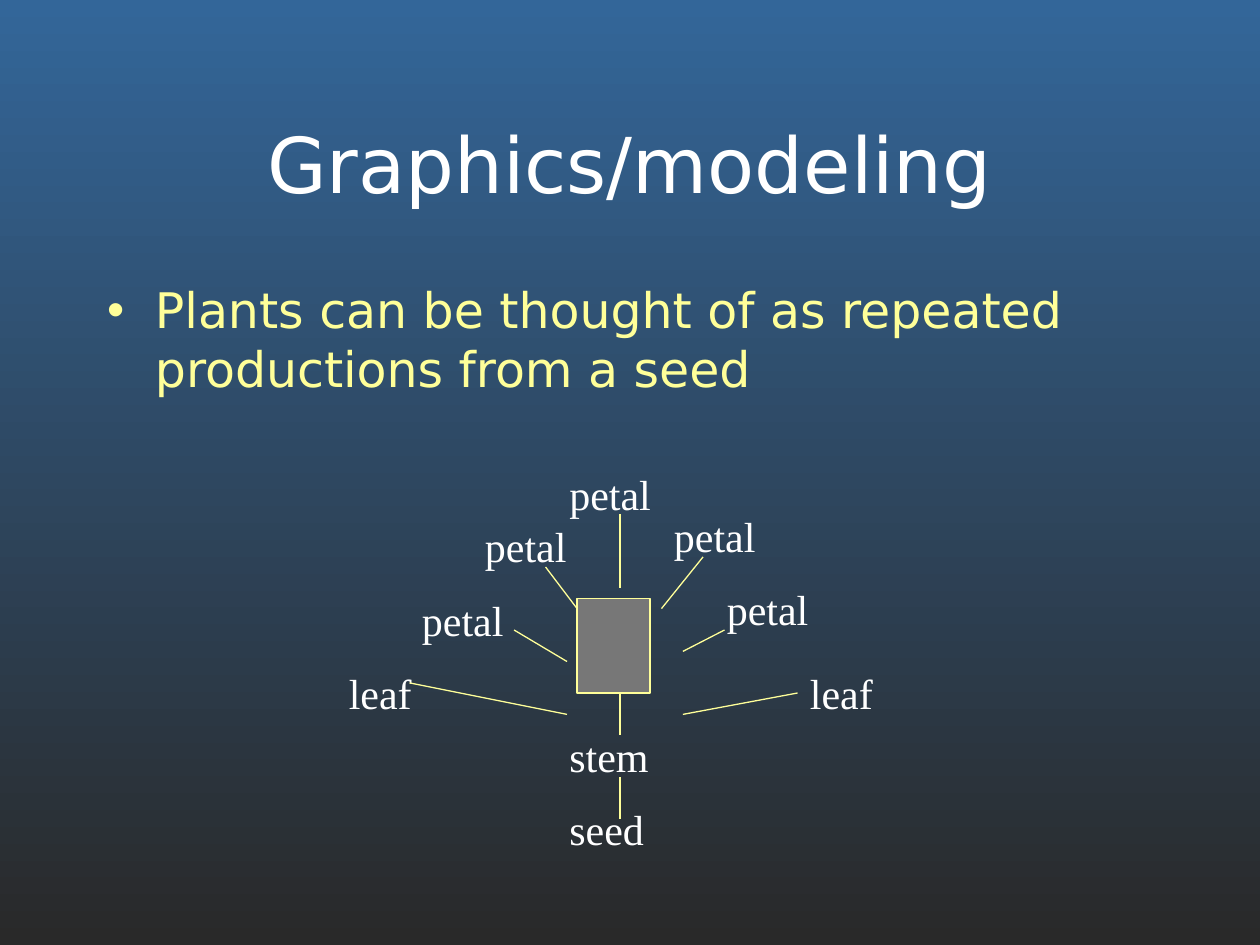
import pptx
import pptx.util
import pptx.dml.color
import pptx.enum.shapes
import pptx.enum.text
import pptx.oxml.ns
from lxml import etree
from pptx.util import Inches

TITLE = "Graphics/modeling"
BODY = "Plants can be thought of as repeated productions from a seed"
WHITE, YELLOW, GREY = "FFFFFF", "FFFF99", "777777"
GRADIENT = ("336699", "292929")

LABEL_SIZE = (1.25, 0.5)
LABELS = [  # text, left, top
    ("petal", 4.42, 3.67),
    ("petal", 3.75, 4.08),
    ("petal", 3.25, 4.67),
    ("petal", 5.25, 4),
    ("petal", 5.67, 4.58),
    ("leaf", 2.67, 5.25),
    ("leaf", 6.33, 5.25),
    ("stem", 4.42, 5.75),
    ("seed", 4.42, 6.33),
]
BRANCHES = [  # x1, y1, x2, y2
    (4.92, 4.08, 4.92, 4.67),
    (4.33, 4.5, 4.58, 4.83),
    (4.08, 5, 4.5, 5.25),
    (5.58, 4.42, 5.25, 4.83),
    (5.75, 5, 5.42, 5.17),
    (3.25, 5.42, 4.5, 5.67),
    (6.33, 5.5, 5.42, 5.67),
    (4.92, 5.83, 4.92, 5.5),
    (4.92, 6.5, 4.92, 6.17),
]
FLOWER = (4.58, 4.75, 0.58, 0.75)


def color(value):
    return pptx.dml.color.RGBColor.from_string(value)


def box(*lengths):
    return [Inches(v) for v in lengths]


def write(sp, text, font, size, fill):
    tf = sp.text_frame
    tf.text = text
    tf.word_wrap = True
    tf.auto_size = pptx.enum.text.MSO_AUTO_SIZE.NONE
    p = tf.paragraphs[0]
    f = p.runs[0].font
    f.name, f.size = font, pptx.util.Pt(size)
    f.color.rgb = color(fill)
    return p


def outline(sp):
    sp.line.color.rgb = color(YELLOW)
    sp.line.width = pptx.util.Pt(0.75)


def place(sp, *lengths):
    sp.left, sp.top, sp.width, sp.height = box(*lengths)


def add_bullet(p):
    pPr = p._p.get_or_add_pPr()
    pPr.set("marL", str(Inches(0.38)))
    pPr.set("indent", str(-Inches(0.38)))
    qn = pptx.oxml.ns.qn
    clr = etree.SubElement(pPr, qn("a:buClr"))
    etree.SubElement(clr, qn("a:srgbClr"), val=YELLOW)
    etree.SubElement(pPr, qn("a:buChar"), char="•")


prs = pptx.Presentation()
prs.slide_width, prs.slide_height = box(10, 7.5)
s = prs.slides.add_slide(prs.slide_layouts[1])

fill = s.background.fill
fill.gradient()
fill.gradient_angle = 270
for stop, value in zip(fill.gradient_stops, GRADIENT):
    stop.color.rgb = color(value)

title, body = s.placeholders
place(title, 0.75, 0.67, 8.5, 1.25)
p = write(title, TITLE, "DejaVu Sans", 44, WHITE)
p.alignment = pptx.enum.text.PP_ALIGN.CENTER
title.text_frame.vertical_anchor = pptx.enum.text.MSO_ANCHOR.MIDDLE
place(body, 0.75, 2.17, 8.5, 4.5)
p = write(body, BODY, "DejaVu Sans", 28, YELLOW)
p.space_before = pptx.util.Pt(0)
add_bullet(p)

for text, left, top in LABELS:
    sp = s.shapes.add_textbox(*box(left, top, *LABEL_SIZE))
    write(sp, text, "Times New Roman", 24, WHITE)

for ends in BRANCHES:
    line = s.shapes.add_connector(pptx.enum.shapes.MSO_CONNECTOR.STRAIGHT, *box(*ends))
    outline(line)
    etree.SubElement(line._element.spPr, pptx.oxml.ns.qn("a:effectLst"))

flower = s.shapes.add_shape(pptx.enum.shapes.MSO_SHAPE.RECTANGLE, *box(*FLOWER))
flower.shadow.inherit = False
flower.fill.solid()
flower.fill.fore_color.rgb = color(GREY)
outline(flower)

prs.save("out.pptx")
